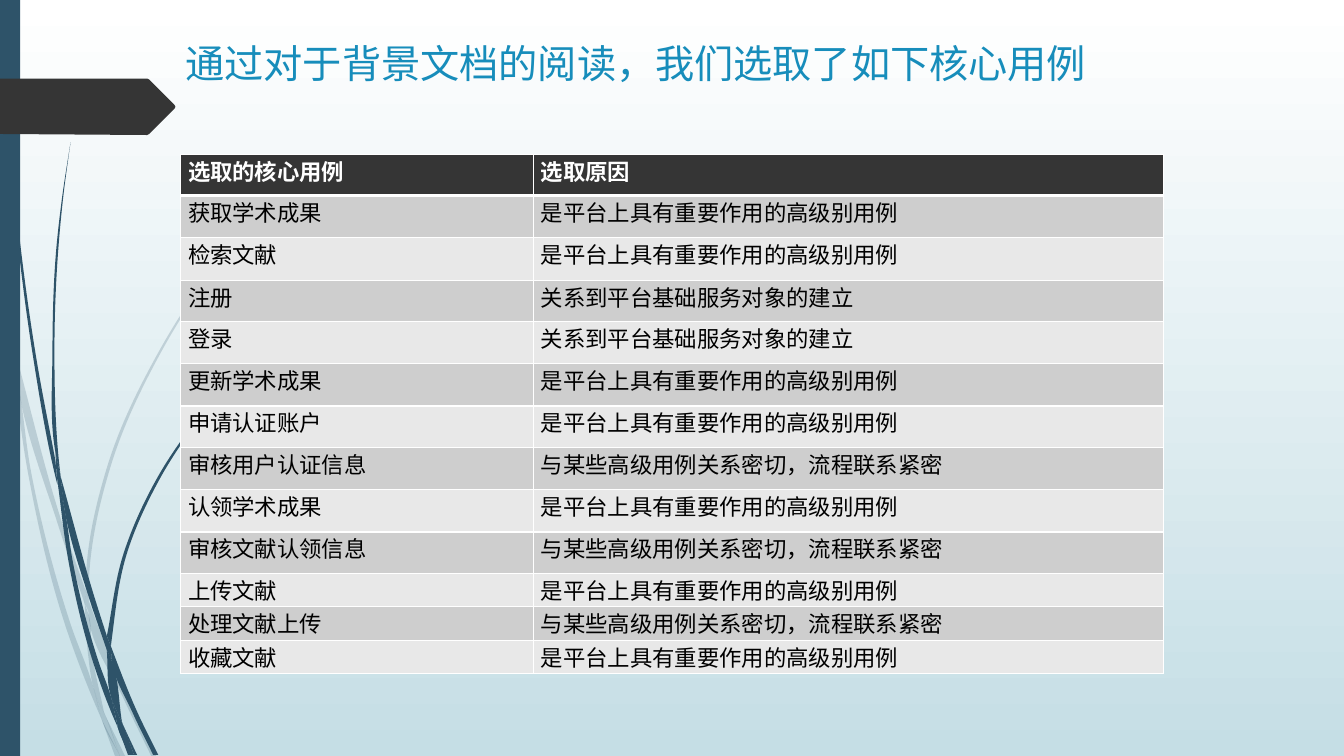
from dataclasses import dataclass
from math import dist

from lxml.etree import SubElement
from pptx import Presentation
from pptx.dml.color import RGBColor
from pptx.enum.shapes import MSO_SHAPE as SHAPE
from pptx.enum.text import MSO_ANCHOR as ANCHOR, PP_ALIGN as ALIGN
from pptx.oxml.ns import qn
from pptx.util import Pt

PX = 9144  # EMU in one px, a hundredth of an inch


@dataclass(frozen=True)
class Theme:
    blue: str = "2E5369"
    dark: str = "353535"
    title: str = "178DBB"
    white: str = "FFFFFF"
    black: str = "000000"
    sky: str = "C5DEE5"
    bands: tuple = ("CECECE", "E8E8E8")
    title_font: str = "Quicksand"
    body_font: str = "Arial"
    title_size: int = 28
    body_size: int = 16
    cell_inset: float = 5.4


T = Theme()

IMPORTANT = "是平台上具有重要作用的高级别用例"
BASIC = "关系到平台基础服务对象的建立"
RELATED = "与某些高级用例关系密切，流程联系紧密"
USE_CASES = [
    ("选取的核心用例", "选取原因"),
    ("获取学术成果", IMPORTANT),
    ("检索文献", IMPORTANT),
    ("注册", BASIC),
    ("登录", BASIC),
    ("更新学术成果", IMPORTANT),
    ("申请认证账户", IMPORTANT),
    ("审核用户认证信息", RELATED),
    ("认领学术成果", IMPORTANT),
    ("审核文献认领信息", RELATED),
    ("上传文献", IMPORTANT),
    ("处理文献上传", RELATED),
    ("收藏文献", IMPORTANT),
]
COLUMN_WIDTHS = (350, 625)
ROW_HEIGHTS = [41, 42, 42] * 3 + [41, 33, 34, 32]

# Each blade of grass is a pair of edges, each edge a list of knots in px.
FAINT_BLADES = [
    ([(11, 350), (9, 322), (0, 282)], [(0, 299), (10, 344), (11, 350)]),
    ([(14, 345), (17, 376), (58, 522), (84, 599)], [(85, 586), (62, 520), (14, 345)]),
    ([(88, 596), (88, 610), (123, 694), (150, 750)],
     [(155, 750), (127, 692), (92, 607), (88, 596)]),
    ([(105, 711), (119, 750)], [(124, 750), (105, 711)]),
    ([(11, 350), (28, 470), (65, 621), (92, 693), (101, 714)],
     [(99, 707), (93, 683), (70, 619), (31, 469), (17, 376), (11, 350)]),
    ([(84, 599), (87, 646), (93, 683), (96, 692), (105, 711)],
     [(103, 706), (91, 646), (88, 610), (84, 599)]),
    ([(88, 596), (88, 584), (110, 462), (160, 349), (229, 245), (268, 198), (312, 154)],
     [(312, 153), (268, 197), (228, 244), (158, 348), (107, 461), (85, 584), (85, 586)]),
    ([(101, 714), (114, 750)], [(119, 750), (101, 714)]),
    ([(84, 599), (88, 608), (88, 610)], [(88, 596), (85, 586)]),
    ([(93, 683), (99, 707), (101, 714), (119, 750)],
     [(119, 750), (105, 711), (96, 692), (93, 683)]),
]
SOLID_BLADES = [
    ([(3, 0), (4, 48), (7, 110), (17, 233), (33, 355), (56, 477), (57, 481)],
     [(55, 457), (36, 355), (19, 232), (8, 109), (5, 48), (4, 0)]),
    ([(60, 472), (64, 505), (88, 592), (106, 645)], [(106, 631), (93, 590), (60, 472)]),
    ([(110, 641), (111, 656), (132, 708), (152, 749)],
     [(157, 749), (136, 706), (113, 649), (110, 641)]),
    ([(57, 477), (68, 557), (93, 659), (111, 708), (117, 722)],
     [(116, 717), (110, 691), (98, 657), (72, 556), (64, 505), (57, 477)]),
    ([(60, 472), (58, 453), (54, 349), (58, 245), (63, 193), (70, 141)],
     [(70, 141), (62, 193), (56, 245), (52, 349), (55, 449), (60, 472)]),
    ([(122, 719), (133, 749)], [(136, 749), (122, 719)]),
    ([(55, 449), (57, 477), (64, 505)], [(60, 472), (55, 449)]),
    ([(110, 641), (111, 633), (125, 552), (158, 476), (205, 406), (231, 374), (261, 344)],
     [(260, 344), (231, 373), (204, 405), (156, 474), (122, 551), (106, 631)]),
    ([(117, 722), (127, 749)], [(131, 749), (117, 722)]),
    ([(106, 645), (110, 691), (116, 706), (122, 719)],
     [(121, 716), (111, 656), (109, 651), (106, 645)]),
    ([(106, 645), (111, 656)], [(110, 641), (106, 631)]),
    ([(110, 691), (116, 717), (117, 722), (130, 749)],
     [(133, 749), (122, 719), (116, 706), (110, 691)]),
]
TAG = [(0, 78), (146, 78), (148, 79), (173, 104), (174, 106),
       (173, 108), (148, 133), (146, 134), (0, 133)]


def rgb(colour):
    return RGBColor.from_string(colour)


def bezier_handles(knots):
    """Return the two control points of each segment of a smooth curve through the knots."""
    gaps = [dist(a, b) for a, b in zip(knots, knots[1:])]
    chords = [((c - a) / g, (d - b) / g)
              for (a, b), (c, d), g in zip(knots, knots[1:], gaps)]
    inner = [tuple((u * h + v * g) / (g + h) for u, v in zip(before, after))
             for before, after, g, h in zip(chords, chords[1:], gaps, gaps[1:])]
    slopes = [chords[0], *inner, chords[-1]]
    return [((x0 + u0 * g / 3, y0 + v0 * g / 3), (x1 - u1 * g / 3, y1 - v1 * g / 3))
            for (x0, y0), (x1, y1), (u0, v0), (u1, v1), g
            in zip(knots, knots[1:], slopes, slopes[1:], gaps)]


def paint(sp, colour, alpha=None):
    sp.shadow.inherit = False
    sp.fill.solid()
    sp.fill.fore_color.rgb = rgb(colour)
    sp.line.fill.background()
    if alpha is not None:
        clr = sp._element.spPr.find(qn("a:solidFill"))[0]
        SubElement(clr, qn("a:alpha")).set("val", str(alpha * 1000))


def add_outline(shapes, points, colour, alpha=None):
    start, *rest = [(x * PX, y * PX) for x, y in points]
    builder = shapes.build_freeform(*start, scale=1.0)
    builder.add_line_segments(rest, close=True)
    sp = builder.convert_to_shape()
    paint(sp, colour, alpha)
    return sp


def add_blade(shapes, left, right, alpha):
    """Draw a blade whose edges are Bézier curves, joined by a straight line."""
    sp = add_outline(shapes, left + right, T.blue, alpha)
    x0, y0 = min(left + right)[0], min(y for _, y in left + right)
    handles = bezier_handles(left) + [()] + bezier_handles(right)
    for line, pair in zip(list(sp._element.iter(qn("a:lnTo"))), handles):
        for i, (x, y) in enumerate(pair):
            line.tag = qn("a:cubicBezTo")
            pt = SubElement(line, qn("a:pt"), x=str(round((x - x0) * PX)),
                            y=str(round((y - y0) * PX)))
            line.insert(i, pt)


def add_grass(shapes, blades, alpha=None):
    group = shapes.add_group_shape()
    for left, right in blades:
        add_blade(group.shapes, left, right, alpha)


def write(tf, text, *, font, size, colour, bold=False, align=ALIGN.LEFT):
    p = tf.paragraphs[0]
    p.alignment = align
    r = p.add_run()
    r.text = text
    r.font.name, r.font.size, r.font.bold = font, Pt(size), bold
    r.font.color.rgb = rgb(colour)


def set_borders(cell, bottom=1):
    tc_pr = cell._tc.get_or_add_tcPr()
    sides = {"lnL": 1, "lnR": 1, "lnT": 1, "lnB": bottom}
    for i, (side, width) in enumerate(sides.items()):
        ln = SubElement(tc_pr, qn(f"a:{side}"), w=str(Pt(width)))
        SubElement(SubElement(ln, qn("a:solidFill")), qn("a:srgbClr"), val=T.white)
        tc_pr.insert(i, ln)


def fill_background(slide):
    fill = slide.background.fill
    fill.gradient()
    fill.gradient_angle = 270
    for stop, position, colour in zip(fill.gradient_stops, (0, 1), (T.white, T.sky)):
        stop.position = position
        stop.color.rgb = rgb(colour)


def place_title(slide, text):
    sp = slide.shapes.title
    sp.left, sp.top, sp.width, sp.height = (n * PX for n in (174, 34, 1129, 140))
    tf = sp.text_frame
    tf.word_wrap = True
    tf.vertical_anchor = ANCHOR.TOP
    write(tf, text, font=T.title_font, size=T.title_size, colour=T.title)


def add_use_case_table(shapes):
    table = shapes.add_table(len(USE_CASES), len(COLUMN_WIDTHS), 179 * PX, 153 * PX,
                             sum(COLUMN_WIDTHS) * PX, sum(ROW_HEIGHTS) * PX).table
    for column, width in zip(table.columns, COLUMN_WIDTHS):
        column.width = width * PX
    for i, (row, height, texts) in enumerate(zip(table.rows, ROW_HEIGHTS, USE_CASES)):
        row.height = height * PX
        head = i == 0
        for cell, text in zip(row.cells, texts):
            cell.margin_left = cell.margin_right = Pt(T.cell_inset)
            cell.margin_top = cell.margin_bottom = 0
            cell.fill.solid()
            cell.fill.fore_color.rgb = rgb(T.dark if head else T.bands[(i - 1) % 2])
            set_borders(cell, bottom=3 if head else 1)
            write(cell.text_frame, text, font=T.body_font, size=T.body_size, bold=head,
                  colour=T.white if head else T.black, align=ALIGN.JUSTIFY)


def main():
    prs = Presentation()
    prs.slide_width, prs.slide_height = 1333 * PX, 750 * PX
    slide = prs.slides.add_slide(prs.slide_layouts[5])
    shapes = slide.shapes
    fill_background(slide)
    add_grass(shapes, FAINT_BLADES, alpha=20)
    add_grass(shapes, SOLID_BLADES)
    paint(shapes.add_shape(SHAPE.RECTANGLE, 0, 0, 20 * PX, 750 * PX), T.blue)
    add_outline(shapes, TAG, T.dark)
    place_title(slide, "通过对于背景文档的阅读，我们选取了如下核心用例")
    add_use_case_table(shapes)
    prs.save("out.pptx")


if __name__ == "__main__":
    main()
